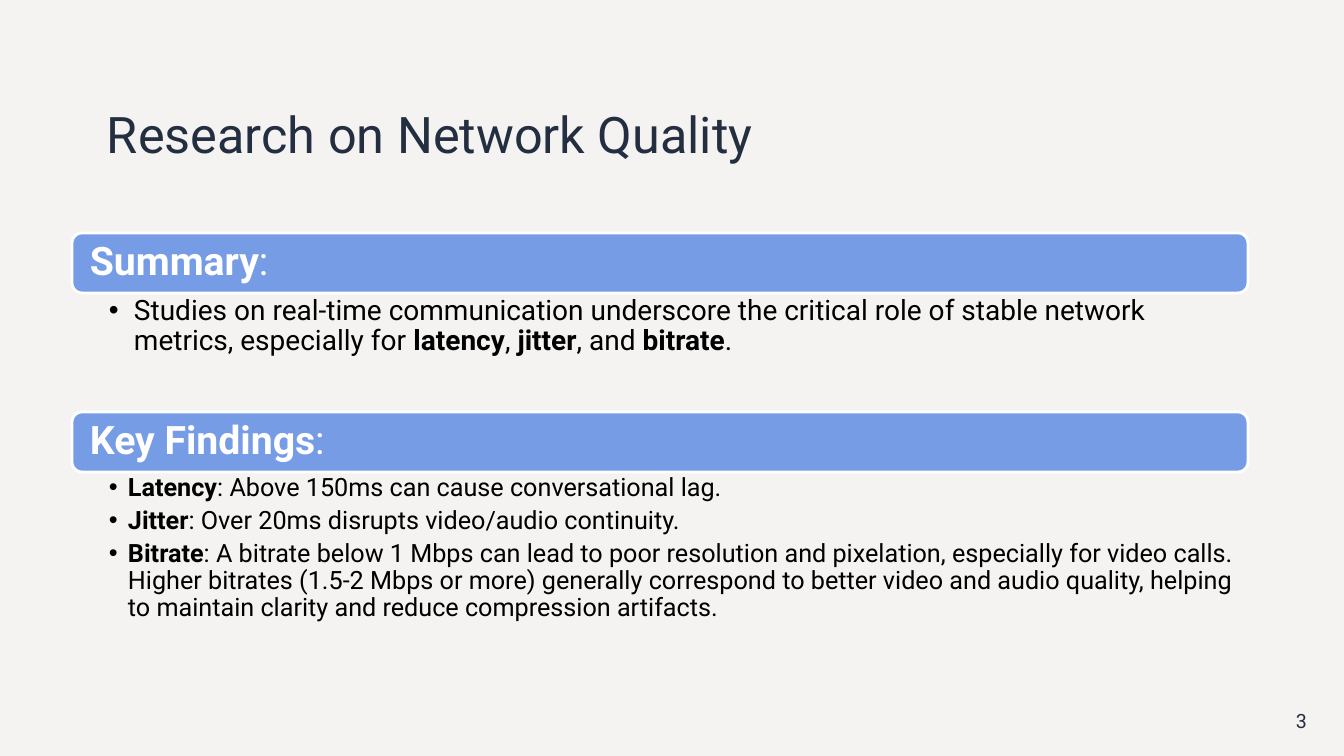
from dataclasses import dataclass

from lxml import etree
from pptx import Presentation
from pptx.dml.color import RGBColor
from pptx.enum.shapes import MSO_SHAPE
from pptx.enum.text import MSO_ANCHOR, MSO_AUTO_SIZE, PP_ALIGN
from pptx.oxml.ns import qn
from pptx.util import Pt

ROUNDED = MSO_SHAPE.ROUNDED_RECTANGLE
MIDDLE, BOTTOM = MSO_ANCHOR.MIDDLE, MSO_ANCHOR.BOTTOM
LEFT, RIGHT = PP_ALIGN.LEFT, PP_ALIGN.RIGHT
NO_FIT = MSO_AUTO_SIZE.NONE
TITLE_ONLY = 5
PX = 914400 / 100.8
BAR_HEIGHT = 60


@dataclass(frozen=True)
class Theme:
    font: str = "Roboto"
    page: str = "F4F3F1"
    ink: str = "242E41"
    bar: str = "769CE6"
    white: str = "FFFFFF"
    body: str = "000000"
    title_size: int = 36
    heading_size: int = 28
    number_size: int = 14


THEME = Theme()


def px(length):
    return round(length * PX)


def place(shape, box):
    shape.left, shape.top, shape.width, shape.height = map(px, box)


def set_frame(frame, insets, anchor=None):
    frame.word_wrap = True
    frame.auto_size = NO_FIT
    frame.margin_left, frame.margin_top, frame.margin_right, frame.margin_bottom = map(px, insets)
    if anchor is not None:
        frame.vertical_anchor = anchor


def add_spans(para, spans, size, color, align=LEFT):
    para.alignment = align
    for text, bold in spans:
        span = para.add_run()
        span.text = text
        span.font.name = THEME.font
        span.font.size = Pt(size)
        span.font.bold = bold
        span.font.color.rgb = RGBColor.from_string(color)


def add_bullet(para, indent):
    properties = para._p.get_or_add_pPr()
    properties.set("marL", str(px(indent)))
    properties.set("indent", str(-px(indent)))
    etree.SubElement(properties, qn("a:buFont"), typeface="Arial")
    etree.SubElement(properties, qn("a:buChar"), char="•")


def add_title(page, box, text):
    title = page.shapes.title
    place(title, box)
    set_frame(title.text_frame, (10, 5, 10, 5), BOTTOM)
    para = title.text_frame.paragraphs[0]
    para.line_spacing = 0.9
    add_spans(para, [(text, False)], THEME.title_size, THEME.ink)


def add_page_number(page, box, number):
    label = page.shapes.add_textbox(*map(px, box))
    set_frame(label.text_frame, (10, 5, 10, 5), MIDDLE)
    add_spans(label.text_frame.paragraphs[0], [(number, False)],
              THEME.number_size, THEME.ink, RIGHT)


def add_section(page, box, heading, points, size, indent, right_inset):
    left, top, width, height = box

    # Heading bar
    bar = page.shapes.add_shape(ROUNDED, *map(px, (left, top, width, BAR_HEIGHT)))
    bar.shadow.inherit = False
    bar.fill.solid()
    bar.fill.fore_color.rgb = RGBColor.from_string(THEME.bar)
    bar.line.color.rgb = RGBColor.from_string(THEME.white)
    bar.line.width = Pt(2)
    set_frame(bar.text_frame, (15, 0, 15, 0), MIDDLE)
    para = bar.text_frame.paragraphs[0]
    para.line_spacing = 0.9
    add_spans(para, [(heading, True), (":", False)], THEME.heading_size, THEME.white)

    # Bulleted points
    body = page.shapes.add_textbox(
        *map(px, (left, top + BAR_HEIGHT, width, height - BAR_HEIGHT)))
    frame = body.text_frame
    set_frame(frame, (37, 3, right_inset, 3))
    for index, spans in enumerate(points):
        para = frame.add_paragraph() if index else frame.paragraphs[0]
        para.line_spacing = 0.9
        para.space_after = Pt(round(size * 0.2))
        add_spans(para, spans, size, THEME.body)
        add_bullet(para, indent)


def main():
    deck = Presentation()
    deck.slide_width, deck.slide_height = px(1344), px(756)
    page = deck.slides.add_slide(deck.slide_layouts[TITLE_ONLY])
    page.background.fill.solid()
    page.background.fill.fore_color.rgb = RGBColor.from_string(THEME.page)

    add_title(page, (97, 30, 1152, 139), "Research on Network Quality")
    add_page_number(page, (1260, 701, 57, 40), "3")

    summary = [[
        ("Studies on real-time communication underscore the critical role of "
         "stable network metrics, especially for ", False),
        ("latency", True), (", ", False), ("jitter", True),
        (", and ", False), ("bitrate", True), (".", False),
    ]]
    findings = [
        [("Latency", True), (": Above 150ms can cause conversational lag.", False)],
        [("Jitter", True), (": Over 20ms disrupts video/audio continuity.", False)],
        [("Bitrate", True),
         (": A bitrate below 1 Mbps can lead to poor resolution and pixelation, "
          "especially for video calls. Higher bitrates (1.5-2 Mbps or more) "
          "generally correspond to better video and audio quality, helping to "
          "maintain clarity and reduce compression artifacts.", False)],
    ]
    add_section(page, (72, 233, 1176, 177), "Summary", summary, 20, 25, 16)
    add_section(page, (72, 412, 1176, 216), "Key Findings", findings, 18, 19, 14)

    deck.save("out.pptx")


if __name__ == "__main__":
    main()
